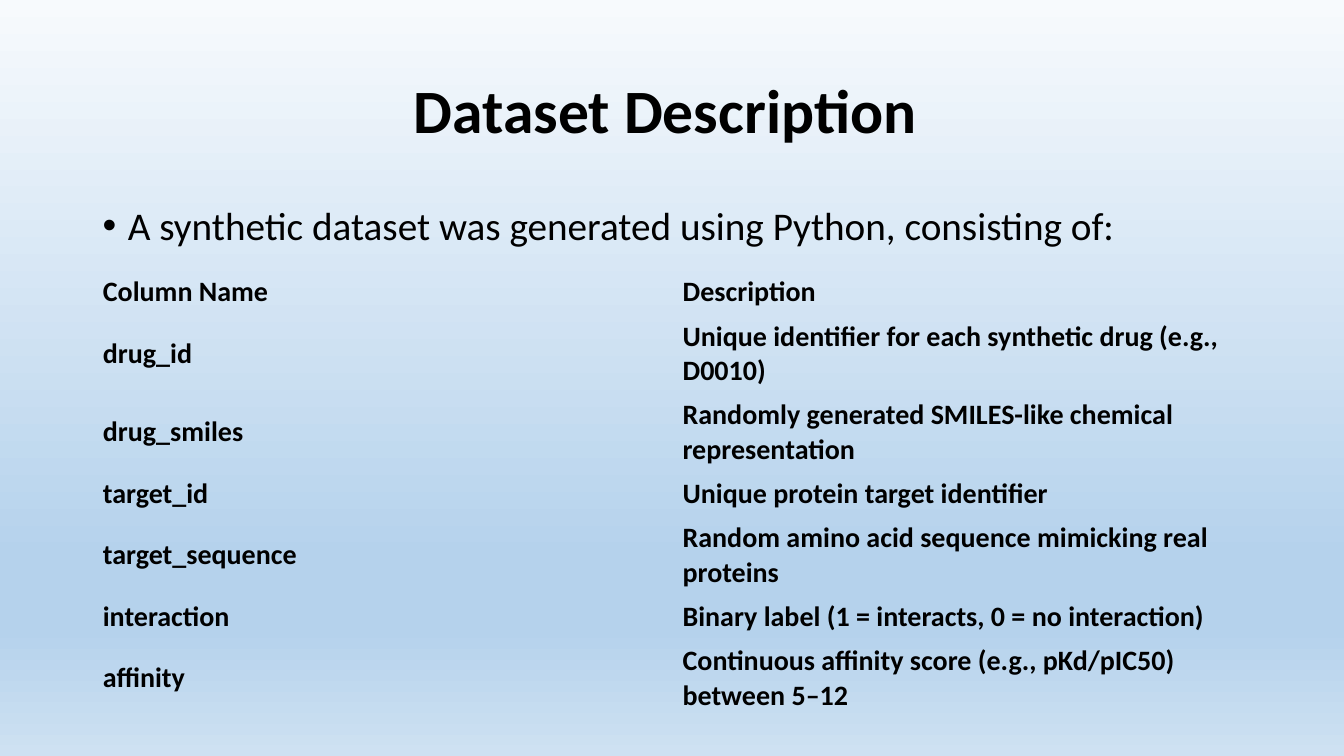
from lxml import etree
from pptx import Presentation
from pptx.dml.color import RGBColor
from pptx.enum.text import MSO_ANCHOR as Anchor, PP_ALIGN as Align
from pptx.oxml.ns import qn
from pptx.util import Inches, Pt

TITLE = "Dataset Description "
INTRO = "A synthetic dataset was generated using Python, consisting of:"
# column name, description, lines the description takes
COLUMNS = [
    ("Column Name", "Description", 1),
    ("drug_id", "Unique identifier for each synthetic drug (e.g., D0010)", 2),
    ("drug_smiles", "Randomly generated SMILES-like chemical representation", 2),
    ("target_id", "Unique protein target identifier", 1),
    ("target_sequence", "Random amino acid sequence mimicking real proteins", 2),
    ("interaction", "Binary label (1 = interacts, 0 = no interaction)", 1),
    ("affinity", "Continuous affinity score (e.g., pKd/pIC50) between 5–12", 2),
]
SKY = [(0, "F7FAFD"), (74, "B5D2EC"), (83, "B5D2EC"), (100, "CEE1F2")]
INK = "000000"
FONT = "Calibri"
LEFT, WIDTH = 0.92, 11.5
LINE_HEIGHT, CELL_PADDING = 0.34, 0.1
PLAIN_TABLE_STYLE = "{2D5ABB26-0587-4C30-8999-92F81FD0307C}"


def color(hex_code):
    return RGBColor.from_string(hex_code)


def add_run(paragraph, text, size, bold=False):
    run = paragraph.add_run()
    run.text = text
    run.font.name = FONT
    run.font.size = Pt(size)
    run.font.bold = bold
    run.font.color.rgb = color(INK)


def add_text_frame(slide, top, height, anchor):
    frame = slide.shapes.add_textbox(
        Inches(LEFT), Inches(top), Inches(WIDTH), Inches(height)).text_frame
    frame.word_wrap = True
    frame.vertical_anchor = anchor
    frame.paragraphs[0].line_spacing = 0.9
    return frame


def add_bullet(paragraph, indent):
    properties = paragraph._p.get_or_add_pPr()
    properties.set("marL", str(Inches(indent)))
    properties.set("indent", str(-Inches(indent)))
    etree.SubElement(properties, qn("a:buFont")).set("typeface", "Arial")
    etree.SubElement(properties, qn("a:buChar")).set("char", "•")


def paint_background(slide):
    fill = slide.background.fill
    fill.gradient()
    fill.gradient_angle = 270
    stops = next(slide.background._cSld.iter(qn("a:gsLst")))
    for stop in list(stops):
        stops.remove(stop)
    for percent, hex_code in SKY:
        stop = etree.SubElement(stops, qn("a:gs"), pos=str(percent * 1000))
        etree.SubElement(stop, qn("a:srgbClr"), val=hex_code)


def add_columns_table(slide):
    heights = [lines * LINE_HEIGHT + CELL_PADDING for *_, lines in COLUMNS]
    frame = slide.shapes.add_table(
        len(COLUMNS), 2, Inches(LEFT), Inches(2.68), Inches(WIDTH), Inches(sum(heights)))
    table = frame.table
    table.first_row = table.horz_banding = False
    next(table._tbl.iter(qn("a:tableStyleId"))).text = PLAIN_TABLE_STYLE
    for row, height, (name, description, _) in zip(table.rows, heights, COLUMNS):
        row.height = Inches(height)
        for cell, text in zip(row.cells, (name, description)):
            cell.fill.background()
            cell.vertical_anchor = Anchor.MIDDLE
            add_run(cell.text_frame.paragraphs[0], text, 20, bold=True)


def main():
    deck = Presentation()
    deck.slide_width, deck.slide_height = Inches(13.33), Inches(7.5)
    slide = deck.slides.add_slide(deck.slide_layouts[6])
    paint_background(slide)

    title = add_text_frame(slide, 0.4, 1.45, Anchor.MIDDLE).paragraphs[0]
    title.alignment = Align.CENTER
    add_run(title, TITLE, 44, bold=True)

    intro = add_text_frame(slide, 2, 4.76, Anchor.TOP).paragraphs[0]
    add_bullet(intro, 0.25)
    add_run(intro, INTRO, 28)

    add_columns_table(slide)
    deck.save("out.pptx")


if __name__ == "__main__":
    main()
